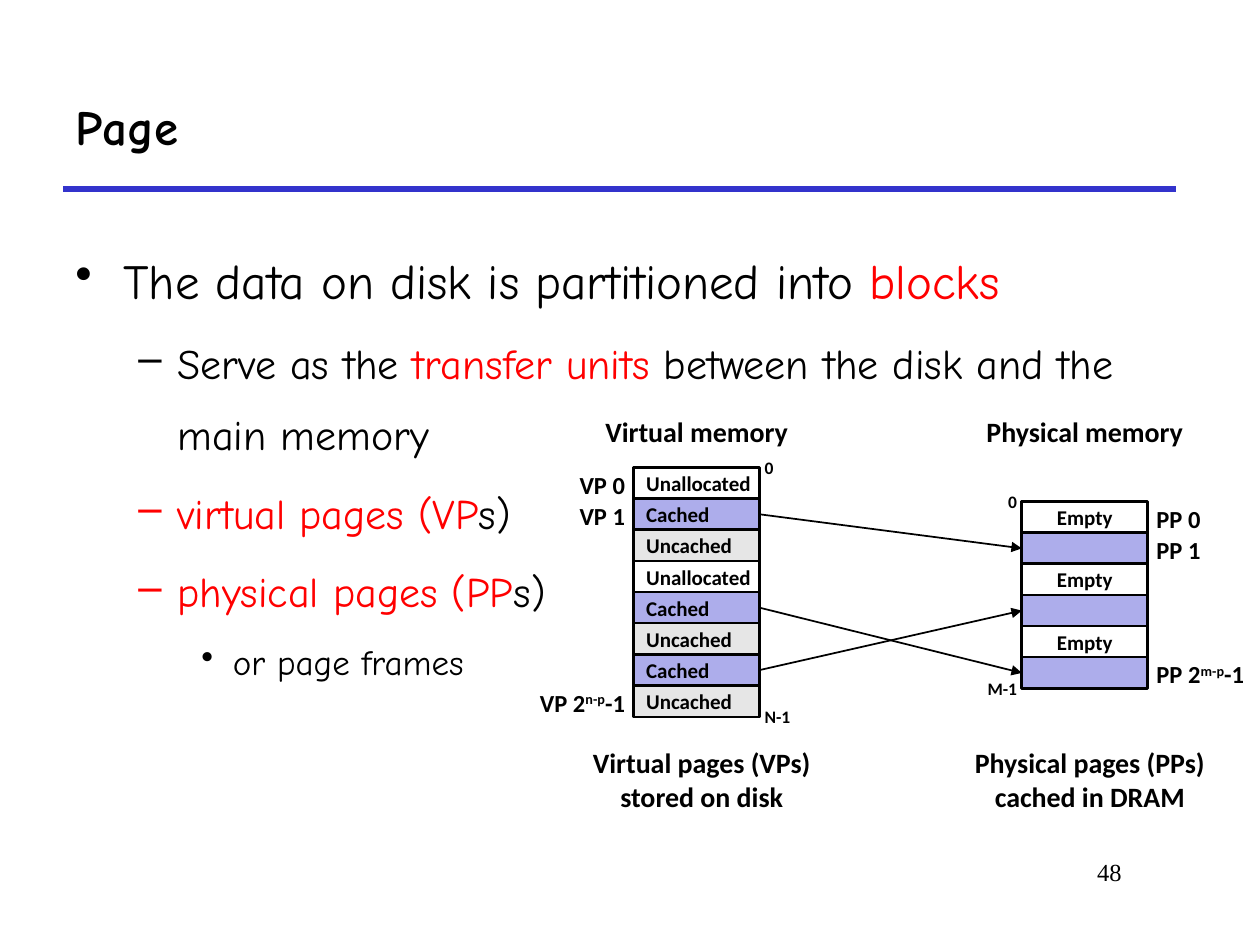
from lxml import etree
from pptx import Presentation
from pptx.dml.color import RGBColor
from pptx.enum.shapes import MSO_CONNECTOR, MSO_SHAPE
from pptx.enum.text import MSO_ANCHOR, PP_ALIGN
from pptx.oxml.ns import qn
from pptx.util import Inches, Pt

STRAIGHT, RECTANGLE = MSO_CONNECTOR.STRAIGHT, MSO_SHAPE.RECTANGLE
TOP, MIDDLE = MSO_ANCHOR.TOP, MSO_ANCHOR.MIDDLE
LEFT, CENTER, RIGHT = PP_ALIGN.LEFT, PP_ALIGN.CENTER, PP_ALIGN.RIGHT
LEFT_SIDE, RIGHT_SIDE = 1, 3

BLACK = RGBColor(0x00, 0x00, 0x00)
WHITE = RGBColor(0xFF, 0xFF, 0xFF)
RED = RGBColor(0xFF, 0x00, 0x00)
BLUE = RGBColor(0x33, 0x33, 0xCC)
LAVENDER = RGBColor(0xAD, 0xAD, 0xEB)
GREY = RGBColor(0xE6, 0xE6, 0xE6)
PAGE_FILLS = {"Unallocated": WHITE, "Empty": WHITE, "Uncached": GREY,
              "Cached": LAVENDER, "": LAVENDER}

HAND_FONT, LABEL_FONT, NUMBER_FONT = "Comic Neue", "Calibri", "Times New Roman"

# level: (bullet, left margin, hanging indent, size)
BULLET_LEVELS = [("•", 0.38, 0.38, 28), ("–", 0.81, 0.31, 24), ("•", 1.25, 0.25, 20)]
# Text between bars is red
BULLETS = [
    (0, "The data on disk is partitioned into |blocks|"),
    (1, "Serve as the |transfer units| between the disk and the main memory"),
    (1, "|virtual pages (VP|s)"),
    (1, "|physical pages (PP|s)"),
    (2, "or page frames"),
]

VIRTUAL_PAGES = ["Unallocated", "Cached", "Uncached", "Unallocated",
                 "Cached", "Uncached", "Cached", "Uncached"]
PHYSICAL_PAGES = ["Empty", "", "Empty", "", "Empty", ""]
# Text between carets is superscript
VIRTUAL_LABELS = {0: "VP 0", 1: "VP 1", 7: "VP 2^n-p^-1"}
PHYSICAL_LABELS = {0: "PP 0", 1: "PP 1", 5: "PP 2^m-p^-1"}
CACHED_IN = {1: 1, 4: 5, 6: 3}

PAGE_WIDTH, PAGE_HEIGHT = 1, 0.25
PITCH = 1.73 / 7


def add_runs(paragraph, marked_text, mark, accent):
    """Add runs split at mark; every second one is passed to accent."""
    for index, piece in enumerate(marked_text.split(mark)):
        if piece:
            run = paragraph.add_run()
            run.text = piece
            if index % 2:
                accent(run)


def make_red(run):
    run.font.color.rgb = RED


def make_superscript(run):
    run.font._element.set("baseline", "30000")


def style(paragraph, font, size, bold=False):
    for run in paragraph.runs:
        run.font.name, run.font.size, run.font.bold = font, Pt(size), bold
        if run.font.color.type is None:
            run.font.color.rgb = BLACK


def add_text(slide, box, lines, size, align=LEFT, anchor=MIDDLE,
             font=LABEL_FONT, bold=True, wrap=False):
    frame = slide.shapes.add_textbox(*map(Inches, box)).text_frame
    frame.word_wrap, frame.vertical_anchor = wrap, anchor
    for index, line in enumerate(lines):
        paragraph = frame.add_paragraph() if index else frame.paragraphs[0]
        paragraph.alignment = align
        add_runs(paragraph, line, "^", make_superscript)
        style(paragraph, font, size, bold)


def add_line(slide, start, end, color, width):
    line = slide.shapes.add_connector(STRAIGHT, *map(Inches, start + end))
    line.line.color.rgb, line.line.width = color, Pt(width)
    etree.SubElement(line._element.spPr, qn("a:effectLst"))
    return line


def add_header(slide, left, top, width, height):
    add_line(slide, (left, top + height), (left + width, top + height), BLUE, 3)
    add_text(slide, (left, top, width, height), ["Page"], 28, font=HAND_FONT, wrap=True)


def add_bullets(slide, *box):
    frame = slide.shapes.add_textbox(*map(Inches, box)).text_frame
    frame.word_wrap = True
    for index, (level, text) in enumerate(BULLETS):
        bullet, margin, hanging, size = BULLET_LEVELS[level]
        paragraph = frame.add_paragraph() if index else frame.paragraphs[0]
        paragraph.level, paragraph.line_spacing = level, 1.4
        properties = paragraph._p.get_or_add_pPr()
        properties.set("marL", str(Inches(margin)))
        properties.set("indent", str(-Inches(hanging)))
        if index:
            space = etree.SubElement(properties, qn("a:spcBef"))
            etree.SubElement(space, qn("a:spcPct"), val="20000")
        etree.SubElement(properties, qn("a:buChar"), char=bullet)
        add_runs(paragraph, text, "|", make_red)
        style(paragraph, HAND_FONT, size)


def add_page(slide, left, top, state, align):
    page = slide.shapes.add_shape(
        RECTANGLE, *map(Inches, (left, top, PAGE_WIDTH, PAGE_HEIGHT)))
    page.shadow.inherit = False
    page.fill.solid()
    page.fill.fore_color.rgb = PAGE_FILLS[state]
    page.line.color.rgb, page.line.width = BLACK, Pt(1.5)
    if state:
        frame = page.text_frame
        frame.text, frame.word_wrap, frame.vertical_anchor = state, False, MIDDLE
        frame.paragraphs[0].alignment = align
        style(frame.paragraphs[0], LABEL_FONT, 12, True)
    return page


def add_side_label(slide, left, middle, text, size, on_left, overlap):
    """Put a label beside the column at left, centred on the height middle."""
    width, height = 0.93, 0.3
    x = left + overlap - width if on_left else left + PAGE_WIDTH - overlap
    add_text(slide, (x, middle - height / 2, width, height), [text], size,
             RIGHT if on_left else LEFT)


def add_memory(slide, left, top, states, align, labels, labels_on_left, last_address):
    """Stack the pages, with page labels on one side and addresses on the other."""
    pages = [add_page(slide, left, top + row * PITCH, state, align)
             for row, state in enumerate(states)]
    for row, label in labels.items():
        middle = top + row * PITCH + PAGE_HEIGHT / 2 + 0.01
        add_side_label(slide, left, middle, label, 14, labels_on_left, 0.03)
    bottom = top + (len(states) - 1) * PITCH + PAGE_HEIGHT
    for edge, address in ((top, "0"), (bottom, last_address)):
        add_side_label(slide, left, edge, address, 10, not labels_on_left, 0.06)
    return pages


def add_memory_map(slide, left, top, width):
    """Draw virtual memory at the left and physical memory at the right."""
    right = left + width - PAGE_WIDTH
    for x, heading, caption in (
            (left, "Virtual memory", ["Virtual pages (VPs)", "stored on disk"]),
            (right, "Physical memory", ["Physical pages (PPs)", "cached in DRAM"])):
        add_text(slide, (x - 0.4, top, 1.8, 0.34), [heading], 16, CENTER)
        add_text(slide, (x - 0.48, top + 2.62, 2.04, 0.63), caption, 16, CENTER)
    virtual = add_memory(slide, left, top + 0.46, VIRTUAL_PAGES, LEFT,
                         VIRTUAL_LABELS, True, "N-1")
    physical = add_memory(slide, right, top + 0.73, PHYSICAL_PAGES, CENTER,
                          PHYSICAL_LABELS, False, "M-1")
    for source, target in CACHED_IN.items():
        arrow = add_line(slide, (left, top), (right, top), BLACK, 1)
        arrow.begin_connect(virtual[source], RIGHT_SIDE)
        arrow.end_connect(physical[target], LEFT_SIDE)
        etree.SubElement(arrow.line._get_or_add_ln(), qn("a:tailEnd"), type="triangle")


def main():
    presentation = Presentation()
    presentation.slide_width, presentation.slide_height = Inches(10), Inches(7.5)
    slide = presentation.slides.add_slide(presentation.slide_layouts[6])
    add_header(slide, 0.5, 0.5, 8.83, 1)
    add_bullets(slide, 0.5, 1.75, 9.08, 4.83)
    add_memory_map(slide, 5.03, 3.25, 4.08)
    add_text(slide, (7.58, 6.75, 1.42, 0.5), ["48"], 14, RIGHT, TOP,
             NUMBER_FONT, bold=False, wrap=True)
    presentation.save("out.pptx")


if __name__ == "__main__":
    main()
